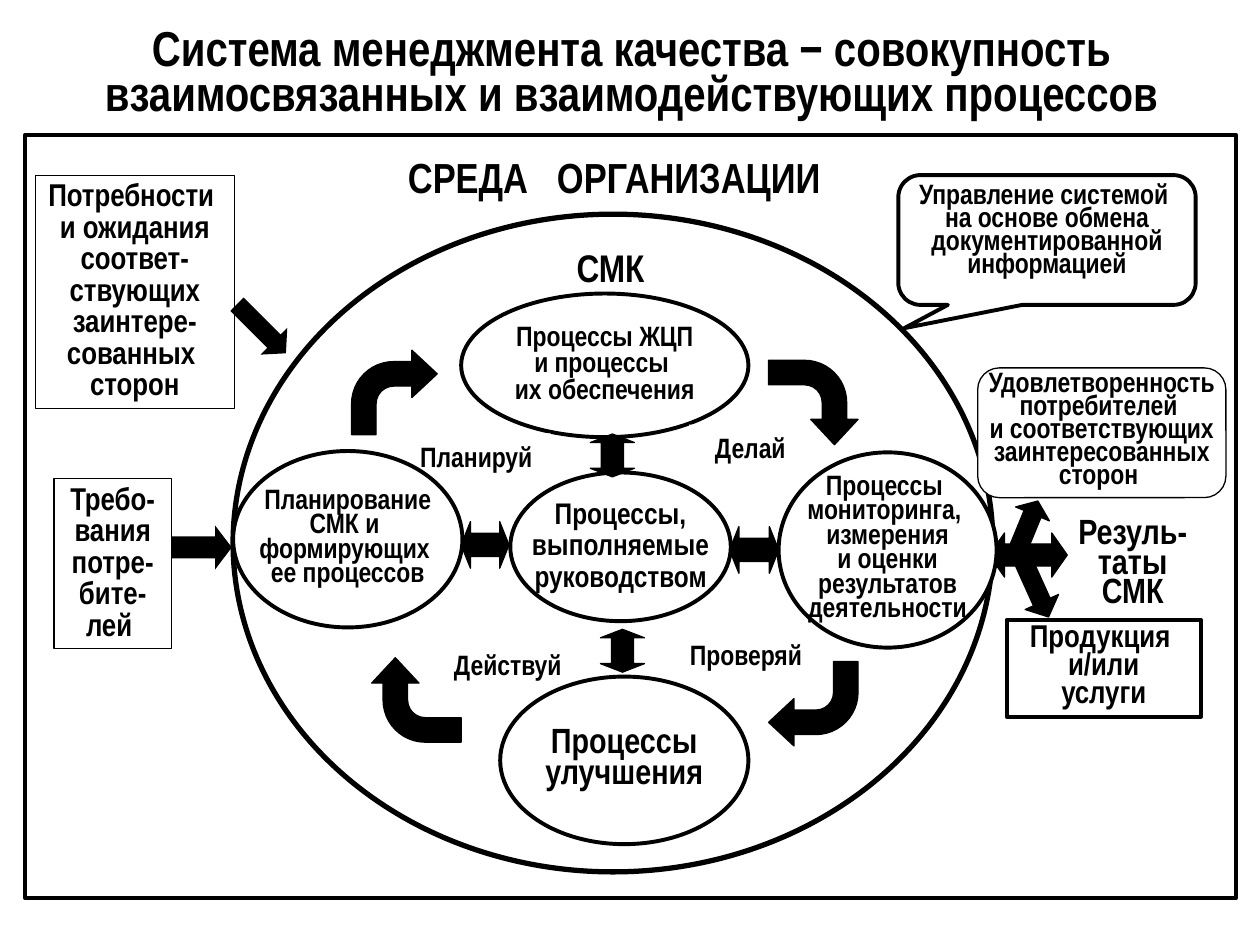
from pptx import Presentation
from pptx.dml.color import RGBColor
from pptx.enum.shapes import MSO_SHAPE as Kind
from pptx.enum.text import MSO_ANCHOR as Anchor, PP_ALIGN as Align
from pptx.util import Inches, Pt

BLACK = RGBColor(0, 0, 0)
WHITE = RGBColor(255, 255, 255)
FONT = "Arial Narrow"
THIN, BOLD, THICK = 0.75, 2.25, 3

TITLE = ["Система менеджмента качества − совокупность "
         "взаимосвязанных и взаимодействующих процессов"]
NEEDS = ["Потребности ", "и ожидания", "cоответ-", "ствующих",
         "заинтере-", "сованных ", "сторон"]
GOODS = ["Продукция ", "и/или", "услуги"]
RESULT = ["Резуль-", "таты", "СМК"]
HAPPY = ["Удовлетворенность", "потребителей ", "и соответствующих",
         "заинтересованных", "сторон "]
CHECK = ["Процессы ", "мониторинга, ", "измерения", "и оценки",
         "результатов", "деятельности"]
CONTROL = ["Управление системой ", "на основе обмена",
           "документированной информацией"]
DEMAND = ["Требо-", "вания", "потре-", "бите-", "лей "]
LIFE = ["Процессы ЖЦП", "и процессы ", "их обеспечения"]
LEAD = ["Процессы,", "выполняемые", "руководством"]
BETTER = ["Процессы", "улучшения"]
PLAN = ["Планирование", "СМК и ", "формирующих ", "ее процессов"]

# Bent arrows of the cycle: box before turning, angle
CYCLE = [
    ((2.79, 2.78, 0.68, 0.67), 0),
    ((6.12, 2.84, 0.67, 0.71), 90),
    ((6.1, 5.25, 0.71, 0.67), 180),
    ((2.97, 5.2, 0.67, 0.71), 270),
]
STEPS = [
    ("Планируй", (3.19, 3.44, 1.18, 0.37)),
    ("Делай", (5.47, 3.37, 0.97, 0.37)),
    ("Проверяй", (5.36, 5.01, 1.12, 0.37)),
    ("Действуй", (3.44, 5.09, 1.18, 0.37)),
]
# Links between the centre and its neighbours: box, angle
LINKS = [
    ((5.79, 4.18, 0.39, 0.37), 0),
    ((3.66, 4.14, 0.38, 0.37), 0),
    ((4.69, 3.44, 0.34, 0.35), 90),
    ((4.77, 4.99, 0.34, 0.35), 90),
]

deck = Presentation()
deck.slide_width, deck.slide_height = Inches(10), Inches(7.5)
slide = deck.slides.add_slide(deck.slide_layouts[6])


def write(shape, lines, size, pitch=None, mid=True, wrap=False, gap=0):
    """Fill a shape with centred bold lines; pitch is the line height."""
    frame = shape.text_frame
    frame.word_wrap = wrap
    frame.vertical_anchor = Anchor.MIDDLE if mid else Anchor.TOP
    for i, line in enumerate(lines):
        para = frame.paragraphs[0] if i == 0 else frame.add_paragraph()
        para.alignment = Align.CENTER
        if pitch:
            para.line_spacing = Pt(pitch)
        if i and gap:
            para.space_before = Pt(gap)
        run = para.add_run()
        run.text = line
        style = {"name": FONT, "size": Pt(size), "bold": True}
        for key, value in style.items():
            setattr(run.font, key, value)
        run.font.color.rgb = BLACK


def draw(kind, box, line=None, fill=WHITE, turn=0, adj=()):
    shape = slide.shapes.add_shape(kind, *map(Inches, box))
    shape.shadow.inherit = False
    shape.rotation = turn
    for i, value in enumerate(adj):
        shape.adjustments[i] = value
    if fill is None:
        shape.fill.background()
    else:
        shape.fill.solid()
        shape.fill.fore_color.rgb = fill
    if line is None:
        shape.line.fill.background()
    else:
        shape.line.color.rgb = BLACK
        shape.line.width = Pt(line)
    return shape


def arrow(kind, box, adj, turn=0, line=THIN):
    return draw(kind, box, line, BLACK, turn, adj)


def label(box, lines, size, **form):
    note = slide.shapes.add_textbox(*map(Inches, box))
    write(note, lines, size, wrap=True, **form)
    return note


def oval(box, lines, size, pitch, gap=0):
    write(draw(Kind.OVAL, box, BOLD), lines, size, pitch, gap=gap)


def panel(box, lines, size, pitch=None, line=None, wrap=True):
    shape = draw(Kind.RECTANGLE, box, line)
    write(shape, lines, size, pitch, mid=False, wrap=wrap)


# Heading and surroundings
label((0.51, 0.21, 9, 0.79), TITLE, 28, pitch=26)
draw(Kind.OVAL, (1.85, 1.7, 6.03, 5.22), THICK)
draw(Kind.RECTANGLE, (0.2, 1.07, 9.61, 6.06), BOLD, None)
around = label((2.56, 1.15, 4.63, 0.5), ["СРЕДА", " ", "ОРГАНИЗАЦИИ"][:1],
               24, mid=False)
para = around.text_frame.paragraphs[0]
for text, extra in ((" ", 1100), ("ОРГАНИЗАЦИИ", 0)):
    run = para.add_run()
    run.text = text
    for key, value in {"name": FONT, "size": Pt(24), "bold": True}.items():
        setattr(run.font, key, value)
    run.font.color.rgb = BLACK
    if extra:
        run.font._element.set("spc", str(extra))

# Outputs on the right, needs on the left
panel((0.28, 1.39, 1.58, 1.85), NEEDS, 18, 18, THIN, False)
panel((7.99, 4.92, 1.54, 0.77), GOODS, 18, 16, BOLD)
panel((8.45, 4.09, 1.08, 0.81), RESULT, 20, 17, wrap=False)
arrow(Kind.DOWN_ARROW, (8.01, 3.96, 0.29, 0.43), (0.5, 0.38), 202.4)
arrow(Kind.DOWN_ARROW, (8.07, 4.4, 0.29, 0.52), (0.5, 0.45), 335.7)
arrow(Kind.LEFT_RIGHT_ARROW, (7.85, 4.23, 0.62, 0.35), (0.5, 0.35))
happy = draw(Kind.ROUNDED_RECTANGLE, (7.76, 2.92, 1.97, 1.03), THIN)
write(happy, HAPPY, 16, 13)
oval((6.18, 3.59, 1.73, 1.55), CHECK, 16, 14)
control = draw(Kind.ROUNDED_RECTANGULAR_CALLOUT, (7.13, 1.39, 2.36, 1.03),
               BOLD, adj=(-0.48, 0.68, 0.17))
write(control, CONTROL, 16, 13, mid=False, wrap=True)
arrow(Kind.RIGHT_ARROW, (1.3, 4.17, 0.54, 0.35), (0.5, 0.38), line=None)
panel((0.43, 3.8, 0.93, 1.35), DEMAND, 18, 18, THIN)

# Process cycle
oval((3.66, 2.33, 2.28, 1.14), LIFE, 16, 15)
oval((4.05, 3.75, 1.75, 1.18), LEAD, 17, 17, gap=1)
for box, turn in CYCLE:
    arrow(Kind.BENT_ARROW, box, (0.29, 0.28, 0.3, 0.5), turn)
for text, box in STEPS:
    panel(box, [text], 16)
for box, turn in LINKS:
    arrow(Kind.LEFT_RIGHT_ARROW, box, (0.5, 0.2), turn)
oval((3.97, 5.37, 1.97, 1.33), BETTER, 20, 18)
arrow(Kind.RIGHT_ARROW, (1.8, 2.46, 0.55, 0.3), (0.5, 0.45), 45, None)
oval((1.85, 3.58, 1.82, 1.4), PLAN, 16, 14)
label((4.45, 1.89, 0.79, 0.47), ["СМК"], 22, mid=False)

deck.save("out.pptx")
